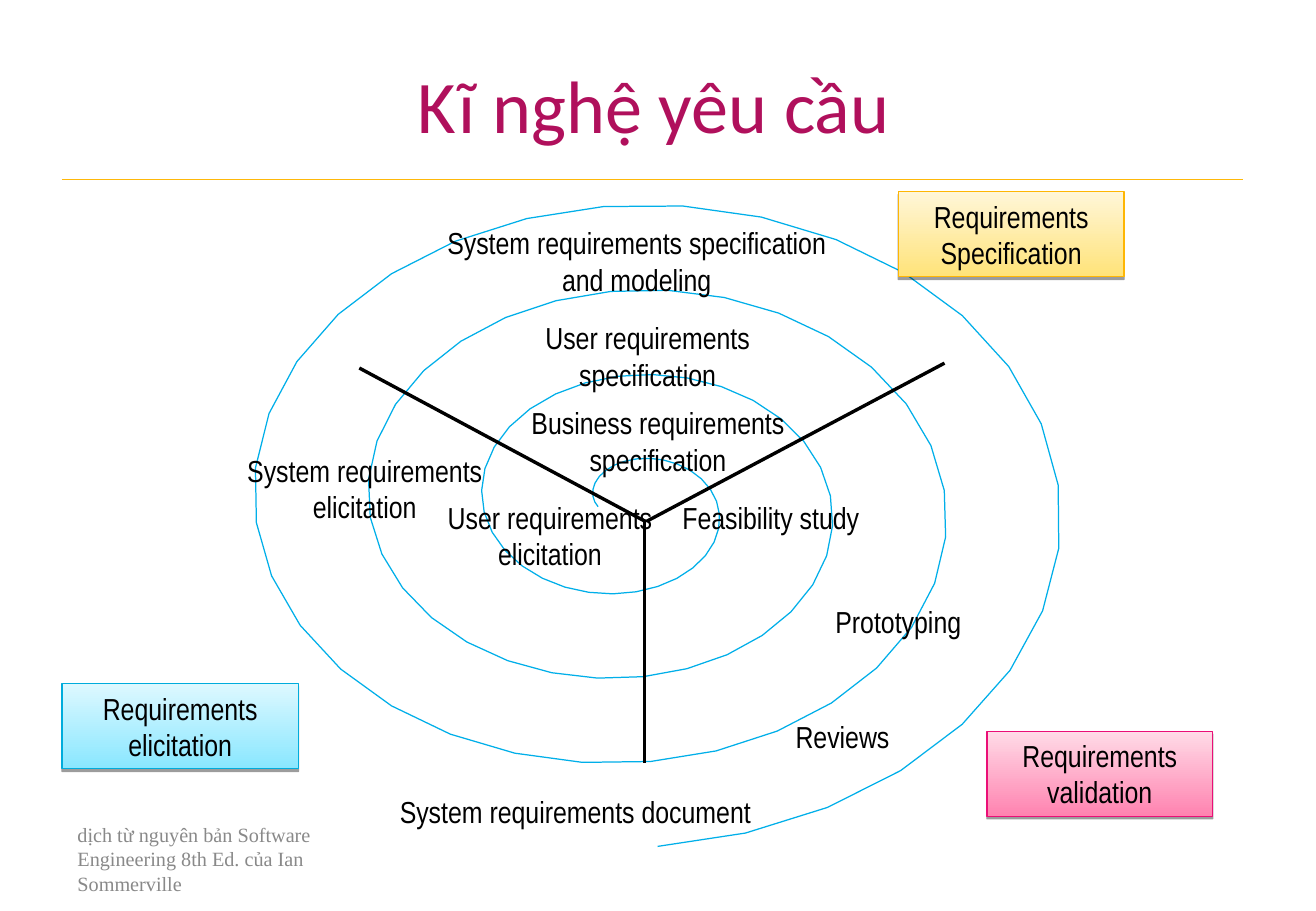
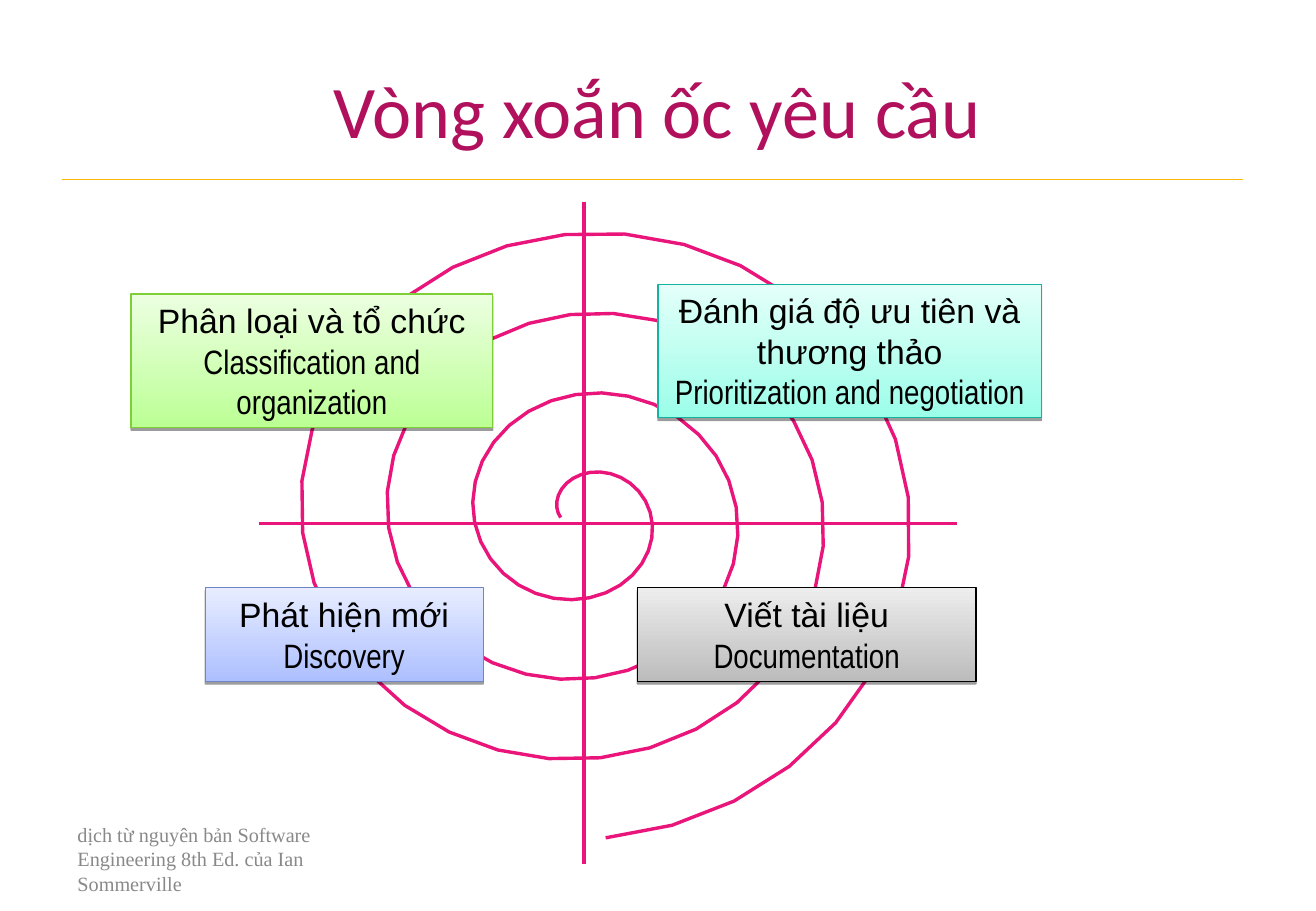
import math

from lxml import etree
from pptx import Presentation
from pptx import util as u
from pptx.dml.color import RGBColor
from pptx.enum import shapes, text
from pptx.oxml import parse_xml
from pptx.oxml.ns import nsdecls, qn

PX = u.Inches(1) // 100
CENTER, LEFT = text.PP_ALIGN.CENTER, text.PP_ALIGN.LEFT
TOP, MIDDLE = text.MSO_ANCHOR.TOP, text.MSO_ANCHOR.MIDDLE
BLACK, PINK, BLUE = "000000", "EA157A", "00AFE9"
FOOTER = "dịch từ nguyên bản Software Engineering 8th Ed. của Ian Sommerville"
SHADOW = (
    f'<a:effectLst {nsdecls("a")}><a:outerShdw blurRad="0" dist="20320" dir="5400000" '
    'rotWithShape="0"><a:srgbClr val="000000"><a:alpha val="38000"/></a:srgbClr>'
    "</a:outerShdw></a:effectLst>"
)


def rgb(value):
    return RGBColor.from_string(value)


def px(*values):
    return [round(v * PX) for v in values]


class Deck:
    """Holds the shared style and draws elements on the current slide."""

    STYLES = {
        "title": ({"name": "Calibri", "size": u.Pt(44)}, "B0105C"),
        "footer": ({"name": "Times New Roman", "size": u.Pt(12)}, "898989"),
        "label": ({"name": "Arial Narrow", "size": u.Pt(18)}, BLACK),
        "local": ({"name": "Arial", "size": u.Pt(20)}, BLACK),
        "english": ({"name": "Arial Narrow", "size": u.Pt(20)}, BLACK),
    }

    def __init__(self, width, height):
        self.prs = Presentation()
        self.prs.slide_width, self.prs.slide_height = px(width, height)

    def slide(self, title, *box):
        self.s = self.prs.slides.add_slide(self.prs.slide_layouts[5])
        sp = self.s.shapes.title
        sp.left, sp.top, sp.width, sp.height = px(*box)
        self.fill_text(sp, [(title, "title")], anchor=MIDDLE)
        self.line(51, 148, 1024, 148, "FEB80A", 0.75)
        self.label(FOOTER, 54, 672, 253, 68, "footer", LEFT)

    def fill_text(self, sp, lines, align=CENTER, anchor=TOP):
        tf = sp.text_frame
        frame = {"word_wrap": True, "auto_size": text.MSO_AUTO_SIZE.NONE,
                 "vertical_anchor": anchor}
        for key, value in frame.items():
            setattr(tf, key, value)
        for i, (words, style) in enumerate(lines):
            p = tf.add_paragraph() if i else tf.paragraphs[0]
            p.alignment = align
            r = p.add_run()
            r.text = words
            values, color = self.STYLES[style]
            for key, value in values.items():
                setattr(r.font, key, value)
            r.font.color.rgb = rgb(color)

    def label(self, words, x, y, w, h=70, style="label", align=CENTER):
        sp = self.s.shapes.add_textbox(*px(x, y, w, h))
        self.fill_text(sp, [(words, style)], align)

    def card(self, lines, x, y, w, h, dark, light, edge):
        sp = self.s.shapes.add_shape(shapes.MSO_SHAPE.RECTANGLE, *px(x, y, w, h))
        sp.fill.gradient()
        sp.fill.gradient_angle = 90
        for stop, color in zip(sp.fill.gradient_stops, (dark, light)):
            stop.color.rgb = rgb(color)
        self.stroke(sp, edge, 0.75)
        sp._element.spPr.append(parse_xml(SHADOW))
        self.fill_text(sp, lines)

    def line(self, x1, y1, x2, y2, color, width):
        c = self.s.shapes.add_connector(
            shapes.MSO_CONNECTOR.STRAIGHT, *px(x1, y1, x2, y2))
        self.stroke(c, color, width)
        etree.SubElement(c._element.spPr, qn("a:effectLst"))

    def spiral(self, cx, cy, pitch_x, pitch_y, color, width):
        steps, inner = 32, 0.28
        points = []
        for i in range(121):
            turn = -0.01 + i / steps
            angle = math.pi + turn * math.tau
            reach = turn + inner
            points.append(px(cx + pitch_x * reach * math.cos(angle),
                             cy + pitch_y * reach * math.sin(angle)))
        outline = self.s.shapes.build_freeform(*points[0], scale=1.0)
        outline.add_line_segments(points[1:], close=False)
        sp = outline.convert_to_shape()
        sp.fill.background()
        sp.shadow.inherit = False
        self.stroke(sp, color, width)

    def stroke(self, sp, color, width):
        sp.line.color.rgb = rgb(color)
        sp.line.width = u.Pt(width)


def engineering(deck):
    deck.slide("Kĩ nghệ yêu cầu", 51, 23, 975, 125)
    deck.spiral(518, 416, 94, 70, BLUE, 0)
    for x1, x2, y2 in ((531, 296, 303), (533, 778, 299), (531, 531, 628)):
        deck.line(x1, 429, x2, y2, BLACK, 0)
    for label in (
        ("System requirements specification and modeling", 355, 180, 339),
        ("User requirements specification", 381, 258, 305),
        ("Business requirements specification", 381, 328, 322),
        ("Feasibility study", 542, 406, 186, 40),
        ("Prototyping", 626, 492, 228, 40),
        ("Reviews", 533, 586, 322, 40),
        ("System requirements document", 313, 648, 322, 40),
        ("System requirements elicitation", 178, 367, 245),
        ("User requirements elicitation", 347, 406, 212),
    ):
        deck.label(*label)
    for phase, x, y, w, *colors in (
        ("elicitation", 51, 563, 195, "89E7FF", "DDF8FF", "00ACDC"),
        ("Specification", 740, 158, 186, "FFE379", "FFF6D8", "FEB604"),
        ("validation", 813, 602, 186, "FF83B0", "FFDBE7", "EA0F77"),
    ):
        deck.card([(f"Requirements {phase}", "label")], x, y, w, 70, *colors)


def requirements_spiral(deck):
    deck.slide("Vòng xoắn ốc yêu cầu", 45, 29, 993, 121)
    deck.spiral(481, 425, 71, 66, PINK, 2)
    deck.line(481, 166, 481, 711, PINK, 2)
    deck.line(213, 431, 788, 431, PINK, 2)
    for local, english, *card in (
        ("Phân loại và tổ chức", "Classification and organization",
         108, 242, 298, 110, "BCFF95", "ECFFE1", "7CD036"),
        ("Đánh giá độ ưu tiên và thương thảo", "Prioritization and negotiation",
         542, 234, 316, 110, "9BFEE9", "E4FFF9", "15B39E"),
        ("Phát hiện mới", "Discovery",
         169, 484, 229, 77, "ADBFFF", "E7EDFF", "6E86C6"),
        ("Viết tài liệu", "Documentation",
         525, 484, 279, 77, "BCBCBC", "EDEDED", BLACK),
    ):
        deck.card([(local, "local"), (english, "english")], *card)


def main():
    deck = Deck(1084, 750)
    engineering(deck)
    requirements_spiral(deck)
    deck.prs.save("out.pptx")


if __name__ == "__main__":
    main()
